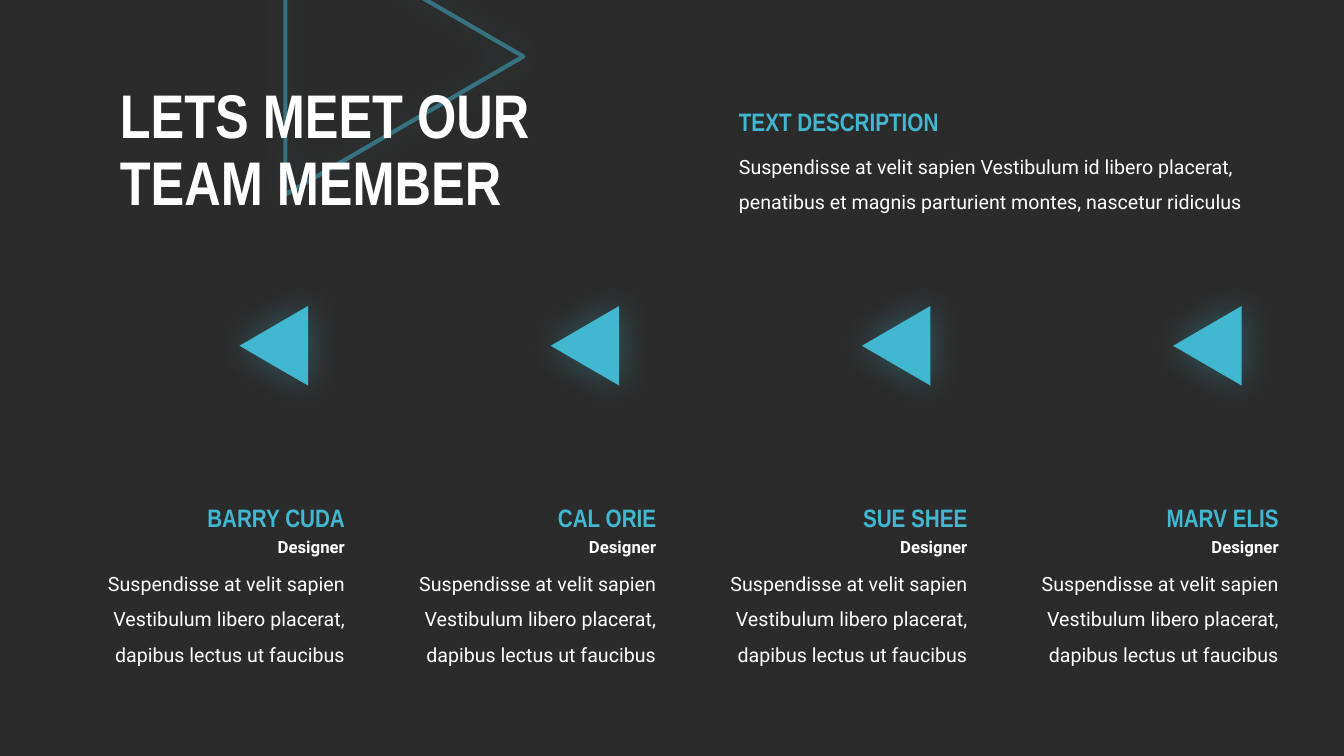
"""Builds a team slide with four members on a dark background."""
from lxml import etree
from pptx import Presentation
from pptx.dml.color import RGBColor
from pptx.enum.shapes import MSO_SHAPE
from pptx.enum.text import MSO_ANCHOR, MSO_AUTO_SIZE, PP_ALIGN
from pptx.oxml.ns import qn
from pptx.util import Inches, Pt

TRIANGLE = MSO_SHAPE.ISOSCELES_TRIANGLE
LEFT, RIGHT = PP_ALIGN.LEFT, PP_ALIGN.RIGHT
TOP, MIDDLE = MSO_ANCHOR.TOP, MSO_ANCHOR.MIDDLE
GROW, FIXED = MSO_AUTO_SIZE.SHAPE_TO_FIT_TEXT, MSO_AUTO_SIZE.NONE
DARK, TEAL, WHITE = "2B2B2B", "41B7D0", "FFFFFF"
HEAD, BODY = "Arial Narrow", "Roboto"
STEP = 3.087
TEAM = ["BARRY CUDA", "CAL ORIE", "SUE SHEE", "MARV ELIS"]
ROLE = "Designer"
BIO = "Suspendisse at velit sapien Vestibulum libero placerat, dapibus lectus ut faucibus"
INTRO = ("Suspendisse at velit sapien Vestibulum id libero placerat, "
         "penatibus et magnis parturient montes, nascetur ridiculus")


def paint(fill, color):
    """Give a fill one solid colour."""
    fill.solid()
    fill.fore_color.rgb = RGBColor.from_string(color)


def fade(parent, color, alpha):
    """Add a colour with an opacity in percent to an XML parent."""
    tone = etree.SubElement(parent, qn("a:srgbClr"), val=color)
    etree.SubElement(tone, qn("a:alpha"), val=str(alpha * 1000))


def glow(shape, color, blur, alpha):
    """Put a soft, centred shadow behind a shape."""
    shape.shadow.inherit = False
    effects = shape._element.spPr.find(qn("a:effectLst"))
    shadow = etree.SubElement(effects, qn("a:outerShdw"), blurRad=str(Pt(blur)),
                              dist="0", dir="0", algn="ctr", rotWithShape="0")
    fade(shadow, color, alpha)


def add_mark(slide, x, y, w, h, turn, hollow=False):
    """Add a glowing triangle, either solid or a half-clear outline."""
    mark = slide.shapes.add_shape(TRIANGLE, Inches(x), Inches(y), Inches(w), Inches(h))
    mark.rotation = turn
    if hollow:
        mark.fill.background()
        mark.line.width = Pt(3)
        paint(mark.line.fill, TEAL)
        solid = mark.line._ln.find(qn("a:solidFill"))
        solid.clear()
        fade(solid, TEAL, 50)
    else:
        paint(mark.fill, TEAL)
        mark.line.fill.background()
    glow(mark, TEAL, 25, 35)


def add_text(slide, text, x, y, w, h, size=14, font=BODY, color=WHITE, bold=False,
             align=LEFT, space=1.0, anchor=TOP, fit=GROW):
    """Add a wrapped text box in one format."""
    box = slide.shapes.add_textbox(Inches(x), Inches(y), Inches(w), Inches(h))
    frame = box.text_frame
    frame.word_wrap = True
    frame.auto_size = fit
    frame.vertical_anchor = anchor
    frame.text = text
    para = frame.paragraphs[0]
    para.alignment = align
    para.line_spacing = space
    for run in para.runs:
        run.font.name = font
        run.font.size = Pt(size)
        run.font.bold = bold
        run.font.color.rgb = RGBColor.from_string(color)


def add_head(slide, text, x, y, w, align=LEFT):
    """Add a small teal heading."""
    add_text(slide, text, x, y, w, 0.4, size=18, font=HEAD, color=TEAL,
             bold=True, align=align)


def add_member(slide, name, x):
    """Add one team member column that starts at x."""
    add_text(slide, BIO, x, 5.51, 2.84, 1.12, align=RIGHT, space=1.5)
    add_head(slide, name, x + 0.99, 4.93, 1.85, align=RIGHT)
    add_text(slide, ROLE, x + 1.8, 5.28, 1.04, 0.3, size=12, bold=True, align=RIGHT)
    add_mark(slide, x + 1.64, 3.09, 0.79, 0.68, 270)


def main():
    """Build the slide and save it."""
    deck = Presentation()
    deck.slide_width, deck.slide_height = Inches(13.33), Inches(7.5)
    slide = deck.slides.add_slide(deck.slide_layouts[6])
    paint(slide.background.fill, DARK)
    add_mark(slide, 2.64, -0.62, 2.74, 2.36, 90, hollow=True)
    add_text(slide, "LETS MEET OUR\vTEAM MEMBER", 1.09, 0.72, 5.62, 1.58, size=44,
             font=HEAD, bold=True, space=0.9, anchor=MIDDLE, fit=FIXED)
    for i, name in enumerate(TEAM):
        add_member(slide, name, 0.68 + i * STEP)
    add_text(slide, INTRO, 7.23, 1.37, 5.55, 0.77, space=1.5)
    add_head(slide, "TEXT DESCRIPTION", 7.23, 1.01, 2.45)
    deck.save("out.pptx")


if __name__ == "__main__":
    main()
